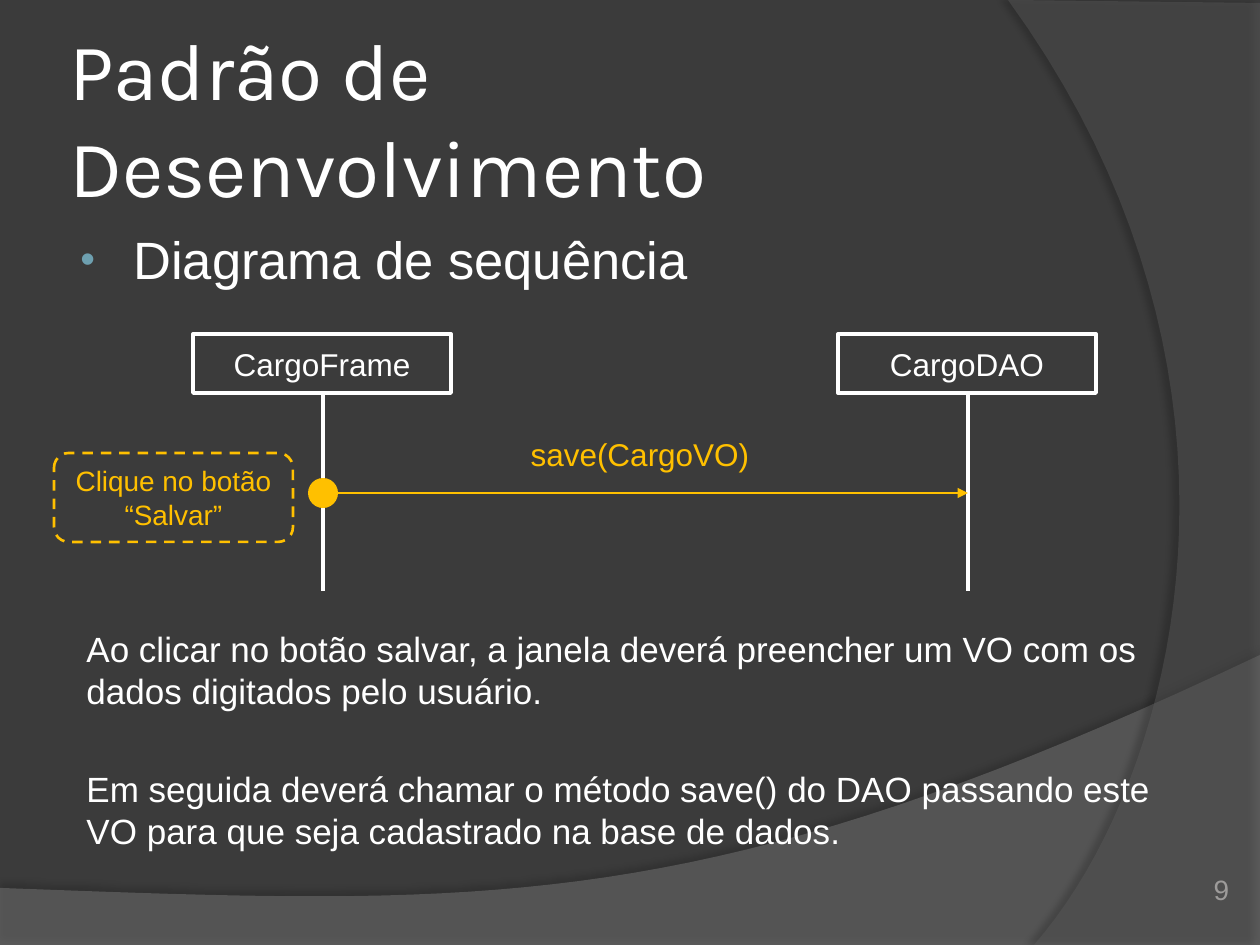
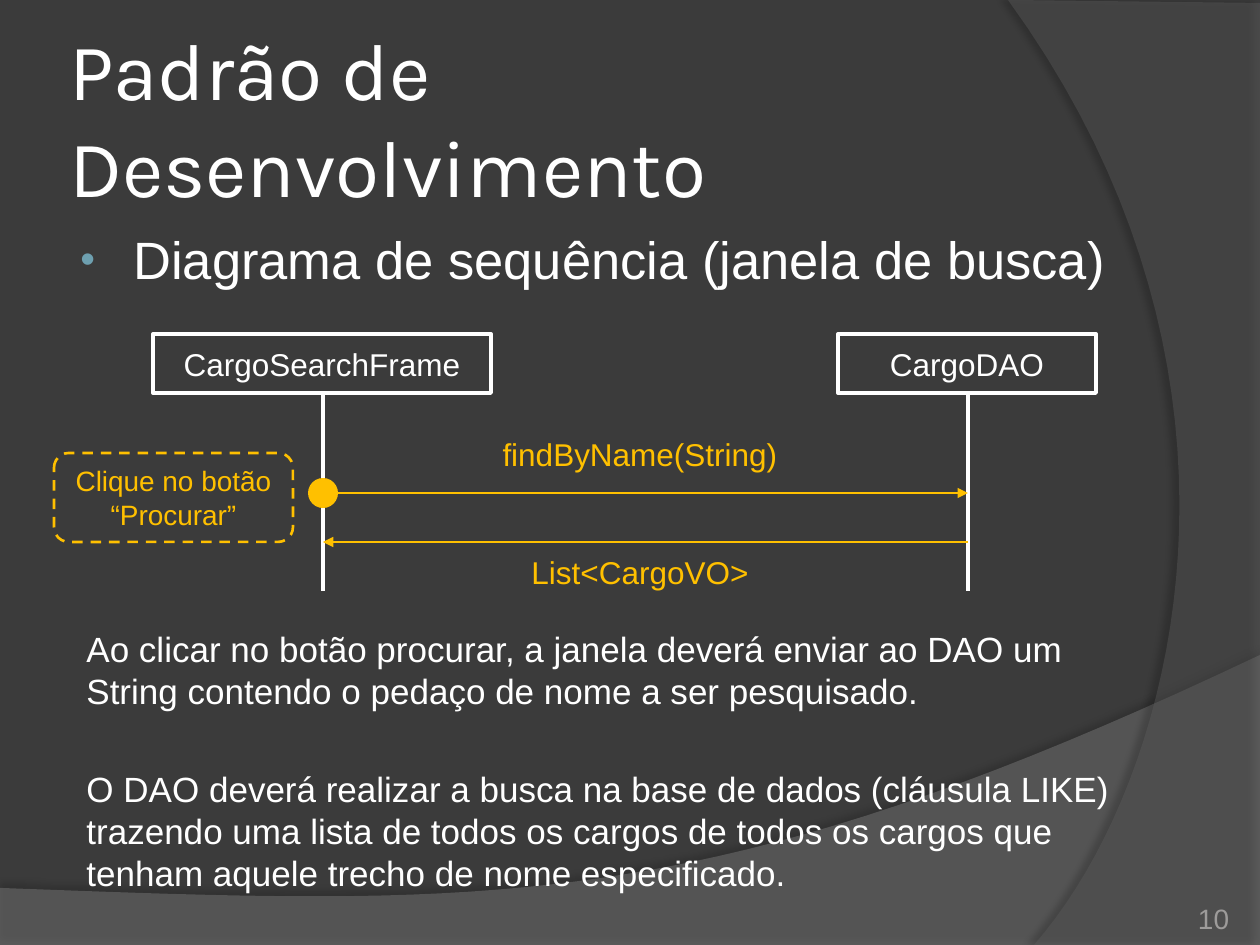
from pptx import Presentation
from pptx.dml.color import RGBColor
from pptx.enum.dml import MSO_LINE
from pptx.enum.shapes import MSO_CONNECTOR, MSO_SHAPE
from pptx.enum.text import MSO_ANCHOR, PP_ALIGN
from pptx.oxml.ns import qn
from pptx.util import Emu, Pt
from lxml.etree import SubElement

SCALE = 914400 / 126
INK = {
    "back": "3B3B3B", "wave": "7F7F7F", "arc": "5E5E5E", "shade": "000000",
    "text": "FFFFFF", "call": "FFC000", "dot": "6EA0B0", "page": "9D9B9A",
}
LEFT, RIGHT = 323, 968
HEAD, FOOT = 393, 591
SEND, REPLY = 493, 542


def px(size):
    return Emu(round(size * SCALE))


def tint(name):
    return RGBColor.from_string(INK[name])


def curve(start, first, second, end, steps=40):
    points = []
    for step in range(1, steps + 1):
        t = step / steps
        u = 1 - t
        points.append(tuple(
            u**3 * a + 3 * u * u * t * b + 3 * u * t * t * c + t**3 * d
            for a, b, c, d in zip(start, first, second, end)))
    return points


class Deck:
    font = "Arial"
    title_font = "Karla"

    def __init__(self):
        self.file = Presentation()
        self.file.slide_width, self.file.slide_height = px(1260), px(945)
        self.slide = None

    def start(self):
        self.slide = self.file.slides.add_slide(self.file.slide_layouts[6])
        fill = self.slide.background.fill
        fill.solid()
        fill.fore_color.rgb = tint("back")
        wave = [(0, 888), (0, 946), (1260, 946), (1260, 655)]
        wave += curve(wave[-1], (704, 919), (493, 906), wave[0])
        self.band(wave, "wave", 45, 35, 3.5, 270)
        arc = [(1260, 3), (1260, 945), (1034, 945)]
        arc += curve(arc[-1], (1178, 780), (1283, 378), (1008, 0))
        self.band(arc, "arc", 40, 45, 4, 180)

    def band(self, points, ink, solid, dark, far, angle):
        spots = [(px(x), px(y)) for x, y in points]
        draft = self.slide.shapes.build_freeform(*spots[0], scale=1.0)
        draft.add_line_segments(spots[1:], close=True)
        shape = draft.convert_to_shape()
        self.paint(shape, fill=ink)
        props = shape._element.spPr
        hue = props.find(qn("a:solidFill")).find(qn("a:srgbClr"))
        SubElement(hue, qn("a:alpha"), val=str(solid * 1000))
        shade = SubElement(
            props.find(qn("a:effectLst")), qn("a:outerShdw"),
            blurRad=str(Pt(4)), dist=str(Pt(far)),
            dir=str(angle * 60000), rotWithShape="0")
        hue = SubElement(shade, qn("a:srgbClr"), val=INK["shade"])
        SubElement(hue, qn("a:alpha"), val=str(dark * 1000))

    def paint(self, shape, fill=None, line=None, width=1.0, dash=None):
        shape.shadow.inherit = False
        if fill:
            shape.fill.solid()
            shape.fill.fore_color.rgb = tint(fill)
        else:
            shape.fill.background()
        if line:
            shape.line.color.rgb = tint(line)
            shape.line.width = Pt(width)
            if dash:
                shape.line.dash_style = dash
        else:
            shape.line.fill.background()

    def label(self, shape, lines, size, ink="text", font=None,
              align=PP_ALIGN.LEFT, anchor=MSO_ANCHOR.TOP, gap=0):
        frame = shape.text_frame
        frame.word_wrap = True
        frame.vertical_anchor = anchor
        for spot, line in enumerate(lines):
            para = frame.add_paragraph() if spot else frame.paragraphs[0]
            para.alignment = align
            para.space_before = Pt(gap if spot else 0)
            run = para.add_run()
            run.text = line
            run.font.size = Pt(size)
            run.font.name = font or self.font
            run.font.color.rgb = tint(ink)
        return frame

    def text(self, area, lines, size, inset=None, **style):
        shape = self.slide.shapes.add_textbox(*map(px, area))
        frame = self.label(shape, lines, size, **style)
        if inset:
            (frame.margin_left, frame.margin_top,
             frame.margin_right, frame.margin_bottom) = map(px, inset)
        return frame

    def title(self, words):
        self.text((63, 38, 1029, 157), [words], 46, (6, 6, 30, 6),
                  font=self.title_font, anchor=MSO_ANCHOR.MIDDLE)

    def bullet(self, words):
        frame = self.text((63, 221, 1102, 83), [words], 30)
        props = frame.paragraphs[0]._p.get_or_add_pPr()
        props.set("marL", str(px(58)))
        props.set("indent", str(px(-53)))
        hue = SubElement(props, qn("a:buClr"))
        SubElement(hue, qn("a:srgbClr"), val=INK["dot"])
        SubElement(props, qn("a:buSzPct"), val="80000")
        SubElement(props, qn("a:buFont"), typeface=self.font)
        SubElement(props, qn("a:buChar"), char="•")

    def body(self, lines):
        self.text((74, 621, 1101, 193), lines, 20, gap=32)

    def page(self, count, top):
        self.text((1124, top, 105, 50), [count], 16, (0, 0, 0, 0),
                  ink="page", align=PP_ALIGN.RIGHT, anchor=MSO_ANCHOR.BOTTOM)

    def box(self, kind, area, lines, size, ink, width, dash=None):
        shape = self.slide.shapes.add_shape(kind, *map(px, area))
        self.paint(shape, line=ink, width=width, dash=dash)
        self.label(shape, lines, size, ink=ink, align=PP_ALIGN.CENTER,
                   anchor=MSO_ANCHOR.MIDDLE)

    def line(self, start, end, ink, width, arrow=False):
        link = self.slide.shapes.add_connector(
            MSO_CONNECTOR.STRAIGHT, *map(px, start + end))
        link.line.color.rgb = tint(ink)
        link.line.width = Pt(width)
        props = link._element.spPr
        if arrow:
            SubElement(props.find(qn("a:ln")), qn("a:tailEnd"),
                       type="triangle")
        SubElement(props, qn("a:effectLst"))

    def actor(self, middle, name, width=258):
        self.box(MSO_SHAPE.RECTANGLE,
                 (middle - 1 - width // 2, 334, width, HEAD - 334),
                 [name], 18, "text", 2.25)
        self.line((middle, HEAD), (middle, FOOT), "text", 2.25)

    def call(self, start, end, y, words, top, width=258):
        self.line((start, y), (end, y), "call", 0.75, arrow=True)
        self.text((640 - width // 2, top, width, 59), [words], 18,
                  ink="call", align=PP_ALIGN.CENTER,
                  anchor=MSO_ANCHOR.MIDDLE)

    def click(self, button):
        self.box(MSO_SHAPE.ROUNDED_RECTANGLE, (54, 453, 239, 89),
                 ["Clique no botão", button], 16, "call", 1.5,
                 MSO_LINE.DASH)
        dot = self.slide.shapes.add_shape(
            MSO_SHAPE.OVAL, *map(px, (LEFT - 15, SEND - 15, 30, 30)))
        self.paint(dot, fill="call")


def scene(deck, topic, lines, page, actor, call, button, reply=None):
    deck.start()
    deck.title("Padrão de Desenvolvimento")
    deck.bullet(topic)
    deck.body(lines)
    deck.page(*page)
    deck.actor(LEFT, *actor)
    deck.actor(RIGHT, "CargoDAO")
    deck.call(LEFT, RIGHT, SEND, call, 424, 318)
    deck.click(button)
    if reply:
        deck.call(RIGHT, LEFT, REPLY, reply, REPLY)


deck = Deck()
scene(
    deck, "Diagrama de sequência",
    ["Ao clicar no botão salvar, a janela deverá preencher um VO com os "
     "dados digitados pelo usuário.",
     "Em seguida deverá chamar o método save() do DAO passando este VO "
     "para que seja cadastrado na base de dados."],
    ("9", 856), ("CargoFrame",), "save(CargoVO)", "“Salvar”")
scene(
    deck, "Diagrama de sequência (janela de busca)",
    ["Ao clicar no botão procurar, a janela deverá enviar ao DAO um String "
     "contendo o pedaço de nome a ser pesquisado.",
     "O DAO deverá realizar a busca na base de dados (cláusula LIKE) "
     "trazendo uma lista de todos os cargos de todos os cargos que tenham "
     "aquele trecho de nome especificado."],
    ("10", 885), ("CargoSearchFrame", 338), "findByName(String)",
    "“Procurar”", "List<CargoVO>")
deck.file.save("out.pptx")
